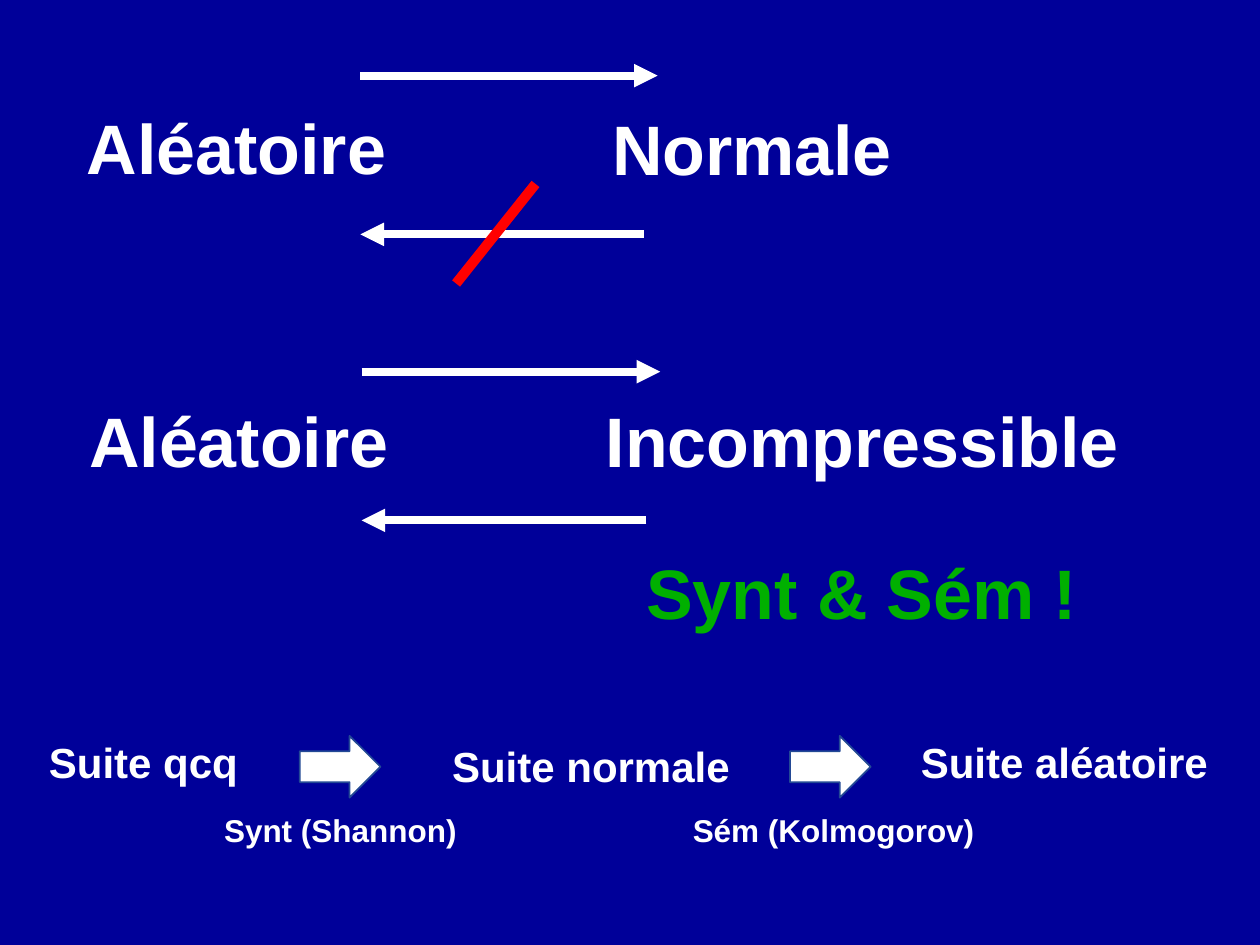
"""Build the slide relating random, normal and incompressible sequences."""
from typing import NamedTuple

import pptx
import pptx.dml.color
import pptx.enum.shapes
import pptx.enum.text
import pptx.oxml.ns
import pptx.shapes.shapetree
import pptx.util
from lxml import etree

Inches = pptx.util.Inches
Shapes = pptx.shapes.shapetree.GroupShapes

NAVY, WHITE, RED, GREEN, EDGE = "000099", "FFFFFF", "FF0000", "00B000", "234995"
TERM_SIZE, STAGE_SIZE, AUTHOR_SIZE = 40, 24, 18
BOX_HEIGHTS = {TERM_SIZE: 0.77, STAGE_SIZE: 0.5, AUTHOR_SIZE: 0.4}


class Label(NamedTuple):
    text: str
    left: float
    top: float
    width: float
    size: int = TERM_SIZE
    color: str = WHITE


class Stroke(NamedTuple):
    start: tuple[float, float]
    end: tuple[float, float]
    color: str = WHITE
    weight: float = 4.5
    arrow: bool = True


class Relation(NamedTuple):
    labels: list[Label]
    strokes: list[Stroke]


RELATIONS = [
    Relation(
        [Label("Normale", 4.76, 0.79, 2.45), Label("Aléatoire", 0.59, 0.78, 2.6)],
        [
            Stroke((2.86, 0.6), (5.22, 0.6)),
            Stroke((5.11, 1.86), (2.86, 1.86)),
            Stroke((4.25, 1.46), (3.62, 2.25), RED, 5.75, False),
        ],
    ),
    Relation(
        [
            Label("Incompressible", 4.71, 3.11, 4.3),
            Label("Aléatoire", 0.61, 3.11, 2.6),
            Label("Synt & Sém !", 5.03, 4.31, 3.65, color=GREEN),
        ],
        [Stroke((2.87, 2.95), (5.24, 2.95)), Stroke((5.13, 4.13), (2.87, 4.13))],
    ),
]
CHAIN_LABELS = [
    Label("Suite qcq", 0.29, 5.8, 1.73, STAGE_SIZE),
    Label("Suite normale", 3.49, 5.83, 2.43, STAGE_SIZE),
    Label("Suite aléatoire", 7.21, 5.8, 2.51, STAGE_SIZE),
    Label("Synt (Shannon)", 1.68, 6.39, 2.07, AUTHOR_SIZE),
    Label("Sém (Kolmogorov)", 5.4, 6.39, 2.46, AUTHOR_SIZE),
]
STEP_LEFTS = [2.38, 6.27]


def rgb(color: str) -> pptx.dml.color.RGBColor:
    return pptx.dml.color.RGBColor.from_string(color)


def write(frame, text: str, *, size: int, color: str, font: str = "Arial", bold: bool = True) -> None:
    run = frame.paragraphs[0].add_run()
    run.text = text
    run.font.name = font
    run.font.size = pptx.util.Pt(size)
    run.font.bold = bold
    run.font.color.rgb = rgb(color)


def draw_label(shapes: Shapes, label: Label) -> None:
    height = BOX_HEIGHTS[label.size]
    box = shapes.add_textbox(Inches(label.left), Inches(label.top), Inches(label.width), Inches(height))
    box.text_frame.word_wrap = False
    box.text_frame.auto_size = pptx.enum.text.MSO_AUTO_SIZE.SHAPE_TO_FIT_TEXT
    write(box.text_frame, label.text, size=label.size, color=label.color)


def draw_stroke(shapes: Shapes, stroke: Stroke) -> None:
    ends = [Inches(value) for value in (*stroke.start, *stroke.end)]
    link = shapes.add_connector(pptx.enum.shapes.MSO_CONNECTOR.STRAIGHT, *ends)
    link.line.color.rgb = rgb(stroke.color)
    link.line.width = pptx.util.Pt(stroke.weight)
    qn = pptx.oxml.ns.qn
    if stroke.arrow:
        etree.SubElement(link.line._get_or_add_ln(), qn("a:tailEnd"), type="triangle")
    etree.SubElement(link._element.spPr, qn("a:effectLst"))


def draw_step(shapes: Shapes, left: float) -> None:
    step = shapes.add_shape(
        pptx.enum.shapes.MSO_SHAPE.RIGHT_ARROW, Inches(left), Inches(5.84), Inches(0.64), Inches(0.49)
    )
    step.shadow.inherit = False
    step.fill.solid()
    step.fill.fore_color.rgb = rgb(WHITE)
    step.line.color.rgb = rgb(EDGE)
    step.line.width = pptx.util.Pt(1)


def main() -> None:
    deck = pptx.Presentation()
    deck.slide_width, deck.slide_height = Inches(10), Inches(7.5)
    slide = deck.slides.add_slide(deck.slide_layouts[6])
    slide.background.fill.solid()
    slide.background.fill.fore_color.rgb = rgb(NAVY)

    for relation in RELATIONS:
        members = slide.shapes.add_group_shape().shapes
        for label in relation.labels:
            draw_label(members, label)
        for stroke in relation.strokes:
            draw_stroke(members, stroke)

    chain = slide.shapes.add_group_shape().shapes
    for label in CHAIN_LABELS:
        draw_label(chain, label)
    for left in STEP_LEFTS:
        draw_step(chain, left)

    deck.save("out.pptx")


if __name__ == "__main__":
    main()
